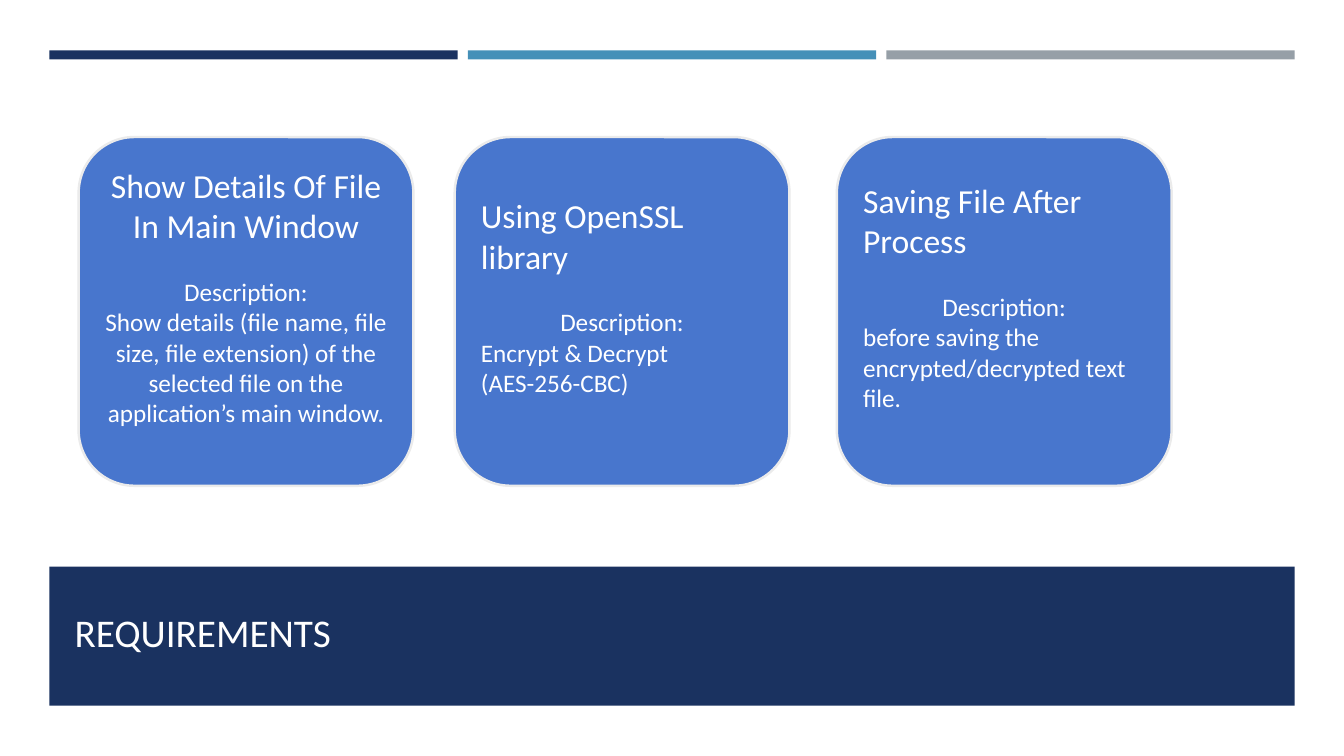
import pptx
import pptx.util
from dataclasses import dataclass
from pptx.dml.color import RGBColor
from pptx.enum.shapes import MSO_SHAPE
from pptx.enum.text import MSO_ANCHOR, MSO_AUTO_SIZE, PP_ALIGN

Inches, Pt = pptx.util.Inches, pptx.util.Pt


@dataclass(frozen=True)
class Theme:
    """Colours, font and type sizes of the slide."""
    font: str = "Calibri"
    navy: str = "1A3260"
    teal: str = "4590B8"
    grey: str = "969FA7"
    white: str = "FFFFFF"
    card: str = "4876CD"
    card_line: str = "EBEBEB"
    title_size: int = 28
    heading_size: int = 24
    body_size: int = 18


def write(p, text, theme, size, align=PP_ALIGN.LEFT, before=0):
    """Put formatted text into paragraph p."""
    p.alignment = align
    p.space_before = Pt(before)
    r = p.add_run()
    r.text = text
    r.font.name = theme.font
    r.font.size = Pt(size)
    r.font.color.rgb = RGBColor.from_string(theme.white)


class Deck:
    """Holds the theme and the current slide."""

    def __init__(self, s, theme):
        """Keep the slide and its style."""
        self.s, self.theme = s, theme

    def shape(self, box, fill, kind=MSO_SHAPE.RECTANGLE, line=None):
        """Add a flat filled shape; box is left, top, width, height in inches."""
        sp = self.s.shapes.add_shape(kind, *map(Inches, box))
        sp.shadow.inherit = False
        sp.fill.solid()
        sp.fill.fore_color.rgb = RGBColor.from_string(fill)
        if line:
            sp.line.color.rgb = RGBColor.from_string(line)
            sp.line.width = Pt(1.75)
        else:
            sp.line.fill.background()
        return sp

    def title(self, text, box):
        """Move the title placeholder to the front and fill it."""
        sp = self.s.shapes.title
        self.s.shapes.element.append(sp.element)
        sp.left, sp.top, sp.width, sp.height = map(Inches, box)
        tf = sp.text_frame
        tf.vertical_anchor = MSO_ANCHOR.BOTTOM
        tf.auto_size = MSO_AUTO_SIZE.NONE
        write(tf.paragraphs[0], text, self.theme, self.theme.title_size)

    def card(self, left, heading, description, align):
        """Add a requirement card with a heading and a description."""
        t = self.theme
        sp = self.shape((left, 1.36, 3.32, 3.46), t.card,
                        MSO_SHAPE.ROUNDED_RECTANGLE, t.card_line)
        tf = sp.text_frame
        tf.word_wrap = True
        tf.vertical_anchor = MSO_ANCHOR.MIDDLE
        tf.margin_bottom = Inches(0.35)
        write(tf.paragraphs[0], heading, t, t.heading_size, align)
        write(tf.add_paragraph(), "Description:", t, t.body_size,
              PP_ALIGN.CENTER, before=22)
        write(tf.add_paragraph(), description, t, t.body_size, align)


CARDS = [
    (0.78, "Show Details Of File In Main Window",
     "Show details (file name, file size, file extension) of the selected "
     "file on the application’s main window.", PP_ALIGN.CENTER),
    (4.51, "Using OpenSSL library",
     "Encrypt & Decrypt (AES-256-CBC)", PP_ALIGN.LEFT),
    (8.3, "Saving File After Process",
     "before saving the encrypted/decrypted text file.", PP_ALIGN.LEFT),
]


def main():
    """Build and save the slide."""
    prs = pptx.Presentation()
    prs.slide_width, prs.slide_height = Inches(13.33), Inches(7.5)
    theme = Theme()
    deck = Deck(prs.slides.add_slide(prs.slide_layouts[5]), theme)

    for i, colour in enumerate((theme.navy, theme.teal, theme.grey)):
        deck.shape((0.49 + i * 4.15, 0.5, 4.05, 0.1), colour)
    deck.shape((0, 0.59, 13.33, 6.91), theme.white)
    deck.shape((0.49, 5.62, 12.35, 1.38), theme.navy)
    deck.title("REQUIREMENTS", (0.64, 5.76, 12.06, 0.79))
    for card in CARDS:
        deck.card(*card)

    prs.save("out.pptx")


main()
